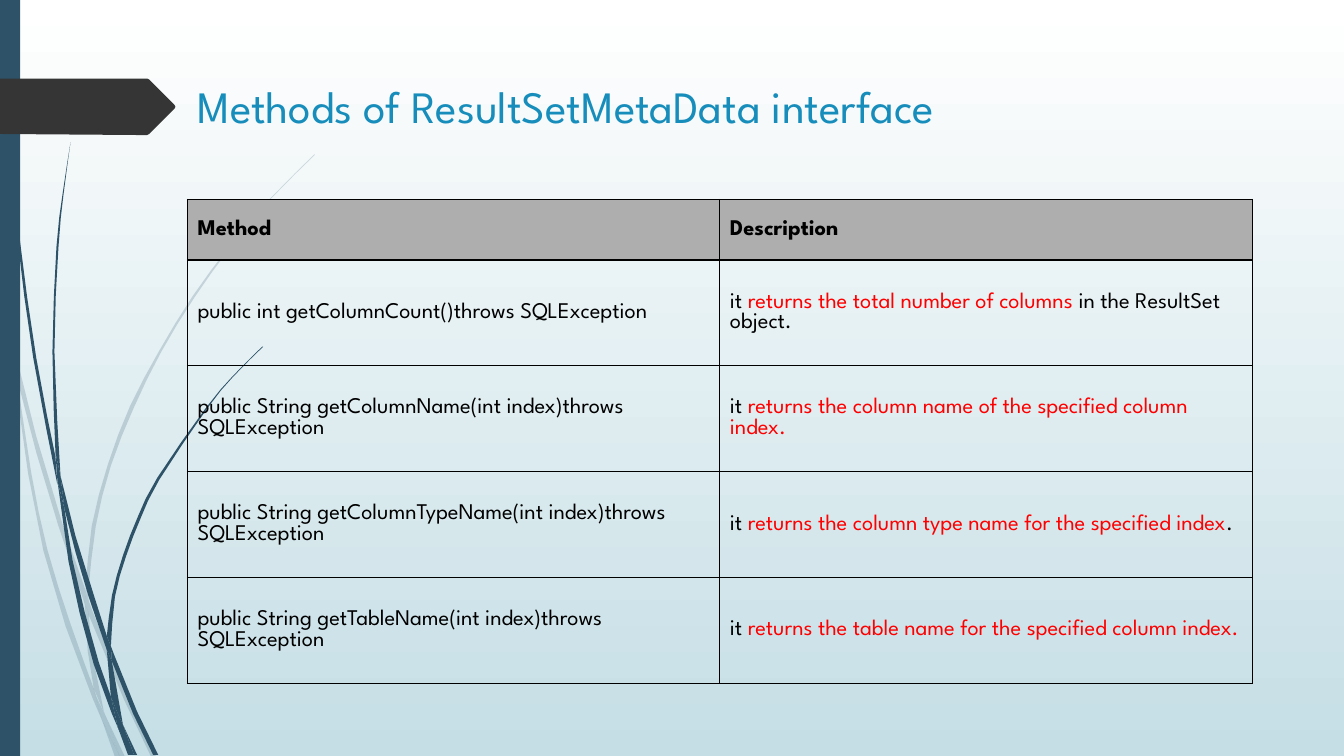
from dataclasses import dataclass

from lxml.etree import SubElement
from pptx import Presentation
from pptx.dml.color import RGBColor
from pptx.enum.shapes import MSO_SHAPE
from pptx.enum.text import MSO_ANCHOR
from pptx.oxml.ns import qn
from pptx.util import Inches, Pt

FONT = "League Spartan"
NAVY, CHARCOAL, TITLE_BLUE = "2E5369", "353535", "178DBB"
BLACK, RED, HEADER_GRAY = "000000", "FF0000", "AEAEAE"
LONG_EDGE = 5

Point = tuple[float, float]


@dataclass
class Outline:
    """Closed shape; edges are split by '|', each a run of x y pairs."""
    edges: str
    color: str = NAVY
    opacity: int = 100


@dataclass
class Method:
    signature: str
    summary: str
    ending: str = ""


FAINT_WISPS = [
    "0.11 3.5 0.09 3.22 0 2.82 | 0 2.99 0.1 3.44 0.11 3.5",
    "0.17 3.76 0.36 4.49 0.58 5.22 0.84 5.99 | 0.85 5.86 0.62 5.2 0.36 4.33 0.14 3.45",
    "0.88 5.96 0.92 6.07 1.27 6.92 1.55 7.51 | 1.5 7.51 1.23 6.94 0.88 6.1",
    "1.19 7.51 1.24 7.51 | 1.05 7.11",
    "0.11 3.5 0.17 3.76 0.31 4.69 0.47 5.45 0.7 6.19 0.93 6.83"
    " | 0.99 7.07 1.01 7.14 | 0.92 6.93 0.65 6.21 0.43 5.46 0.28 4.7",
    "0.84 5.99 0.87 6.46 0.93 6.83 1.05 7.11 | 1.03 7.06 0.91 6.46 0.88 6.08",
    "0.88 5.96 0.88 5.84 0.95 5.22 1.1 4.62 1.33 4.04 1.6 3.49 1.93 2.95 2.29 2.45"
    " 2.68 1.98 3.12 1.54 | 3.12 1.53 2.68 1.97 2.28 2.44"
    " 1.91 2.94 1.58 3.48 1.29 4.03 1.07 4.61 0.91 5.22 0.85 5.84",
    "1.01 7.14 1.14 7.51 | 1.19 7.51",
    "0.88 6.08 0.88 5.96 | 0.85 5.86 0.84 5.99",
    "0.96 6.92 0.93 6.83 | 0.99 7.07 1.01 7.14 1.19 7.51 | 1.05 7.11",
]
DARK_WISPS = [
    "0.03 0 0.07 1.1 0.17 2.33 0.33 3.55 0.57 4.81"
    " | 0.55 4.53 0.36 3.55 0.19 2.32 0.08 1.09 0.04 0",
    "0.64 5.05 0.75 5.48 0.88 5.92 1.06 6.45 | 1.06 6.31 0.93 5.9 0.75 5.32 0.6 4.72",
    "1.1 6.41 1.13 6.49 1.36 7.06 1.57 7.49 | 1.52 7.49 1.32 7.08 1.11 6.56",
    "0.57 4.77 0.64 5.05 | 0.72 5.56 0.84 6.07 0.98 6.57 1.1 6.91"
    " | 1.17 7.22 | 1.11 7.08 0.93 6.59 0.79 6.08 0.68 5.57",
    "0.6 4.72 0.54 3.49 0.58 2.45 0.63 1.93 0.7 1.41"
    " | 0.7 1.41 0.62 1.93 0.56 2.45 0.52 3.49 0.55 4.49",
    "1.33 7.49 1.36 7.49 | 1.22 7.19",
    "0.57 4.77 0.64 5.05 | 0.6 4.72 0.55 4.49",
    "1.1 6.41 1.14 5.92 1.25 5.52 1.4 5.13 1.58 4.76 2.05 4.06 2.31 3.74 2.61 3.44"
    " | 2.6 3.44 2.31 3.73 2.04 4.05 1.56 4.74 1.37 5.12 1.22 5.51 1.11 5.91 1.06 6.31",
    "1.17 7.22 1.27 7.49 | 1.31 7.49",
    "1.06 6.45 1.1 6.91 | 1.16 7.06 1.22 7.19 | 1.11 6.56",
    "1.06 6.45 1.11 6.56 | 1.1 6.41 1.06 6.31",
    "1.16 7.06 1.1 6.91 | 1.17 7.22 1.3 7.49 | 1.33 7.49 1.22 7.19",
]
TITLE_ARROW = Outline(
    "0 0.78 1.46 0.78 | 1.48 0.79 1.73 1.04 | 1.74 1.06 1.73 1.08"
    " | 1.48 1.33 1.46 1.34 | 1.36 1.34 0 1.33", CHARCOAL)

METHODS = [
    Method("public int getColumnCount()throws SQLException",
           "returns the total number of columns ", "in the ResultSet object."),
    Method("public String getColumnName(int index)throws SQLException",
           "returns the column name of the specified column index."),
    Method("public String getColumnTypeName(int index)throws SQLException",
           "returns the column type name for the specified index", "."),
    Method("public String getTableName(int index)throws SQLException",
           "returns the table name for the specified column index."),
]


def rgb(color: str) -> RGBColor:
    return RGBColor.from_string(color)


def paint(shape, color: str, opacity: int = 100) -> None:
    shape.shadow.inherit = False
    shape.line.fill.background()
    shape.fill.solid()
    shape.fill.fore_color.rgb = rgb(color)
    if opacity < 100:
        color_node = shape._element.spPr.find(qn("a:solidFill")).find(qn("a:srgbClr"))
        SubElement(color_node, qn("a:alpha"), val=str(opacity * 1000))


def smooth(points: list[Point]) -> list[Point]:
    """Add a Catmull-Rom midpoint to each segment of a long edge."""
    if len(points) < LONG_EDGE:
        return points
    padded = [points[0], *points, points[-1]]
    curve = [points[0]]
    for before, start, end, after in zip(padded, padded[1:], padded[2:], padded[3:]):
        x, y = ((9 * (b + c) - a - d) / 16 for a, b, c, d in zip(before, start, end, after))
        curve += [(x, y), end]
    return curve


def draw_outline(slide, outline: Outline) -> None:
    vertices = []
    for edge in outline.edges.split("|"):
        numbers = [float(number) for number in edge.split()]
        vertices += smooth(list(zip(numbers[::2], numbers[1::2])))
    first, *rest = [(Inches(x), Inches(y)) for x, y in vertices]
    builder = slide.shapes.build_freeform(*first, scale=1.0)
    builder.add_line_segments(rest, close=True)
    paint(builder.convert_to_shape(), outline.color, outline.opacity)


def write_runs(paragraph, runs: list[tuple[str, str]], size: int, bold: bool = False) -> None:
    paragraph.font.name = FONT
    paragraph.font.size = Pt(size)
    paragraph.font.bold = bold
    for text, color in runs:
        run = paragraph.add_run()
        run.text = text
        run.font.color.rgb = rgb(color)


def fill_cell(cell, runs: list[tuple[str, str]], header: bool = False) -> None:
    properties = cell._tc.get_or_add_tcPr()
    for side in ("lnL", "lnR", "lnT", "lnB"):
        border = SubElement(properties, qn(f"a:{side}"), w=str(Pt(1)))
        SubElement(SubElement(border, qn("a:solidFill")), qn("a:srgbClr"), val=BLACK)
    if header:
        cell.fill.solid()
        cell.fill.fore_color.rgb = rgb(HEADER_GRAY)
    else:
        cell.fill.background()
    cell.vertical_anchor = MSO_ANCHOR.MIDDLE
    write_runs(cell.text_frame.paragraphs[0], runs, 16, bold=header)


def add_method_table(slide) -> None:
    frame = slide.shapes.add_table(len(METHODS) + 1, 2, Inches(1.86), Inches(1.98),
                                   Inches(10.56), Inches(4.8))
    table = frame.table
    table.first_row = table.horz_banding = False
    for row_number, row in enumerate(table.rows):
        row.height = Inches(1.05 if row_number else 0.6)
    for column, heading in enumerate(("Method", "Description")):
        fill_cell(table.cell(0, column), [(heading, BLACK)], header=True)
    for row_number, method in enumerate(METHODS, start=1):
        description = [("it ", BLACK), (method.summary, RED)]
        if method.ending:
            description.append((method.ending, BLACK))
        fill_cell(table.cell(row_number, 0), [(method.signature, BLACK)])
        fill_cell(table.cell(row_number, 1), description)


def main() -> None:
    presentation = Presentation()
    presentation.slide_width, presentation.slide_height = Inches(13.33), Inches(7.5)
    slide = presentation.slides.add_slide(presentation.slide_layouts[6])

    # Background
    background = slide.background.fill
    background.gradient()
    background.gradient_angle = 270
    for stop, color, position in zip(background.gradient_stops, ("FFFFFF", "C5DEE5"), (0, 1)):
        stop.color.rgb = rgb(color)
        stop.position = position

    # Grass wisps, side band and title arrow
    for edges in FAINT_WISPS:
        draw_outline(slide, Outline(edges, opacity=20))
    for edges in DARK_WISPS:
        draw_outline(slide, Outline(edges))
    band = slide.shapes.add_shape(MSO_SHAPE.RECTANGLE, 0, 0, Inches(0.2), Inches(7.5))
    paint(band, NAVY)
    draw_outline(slide, TITLE_ARROW)

    # Title and table
    title = slide.shapes.add_textbox(Inches(1.86), Inches(0.73), Inches(9.75), Inches(1.4))
    title.text_frame.word_wrap = True
    write_runs(title.text_frame.paragraphs[0],
               [("Methods of ResultSetMetaData interface", TITLE_BLUE)], 32)
    add_method_table(slide)
    presentation.save("out.pptx")


if __name__ == "__main__":
    main()
